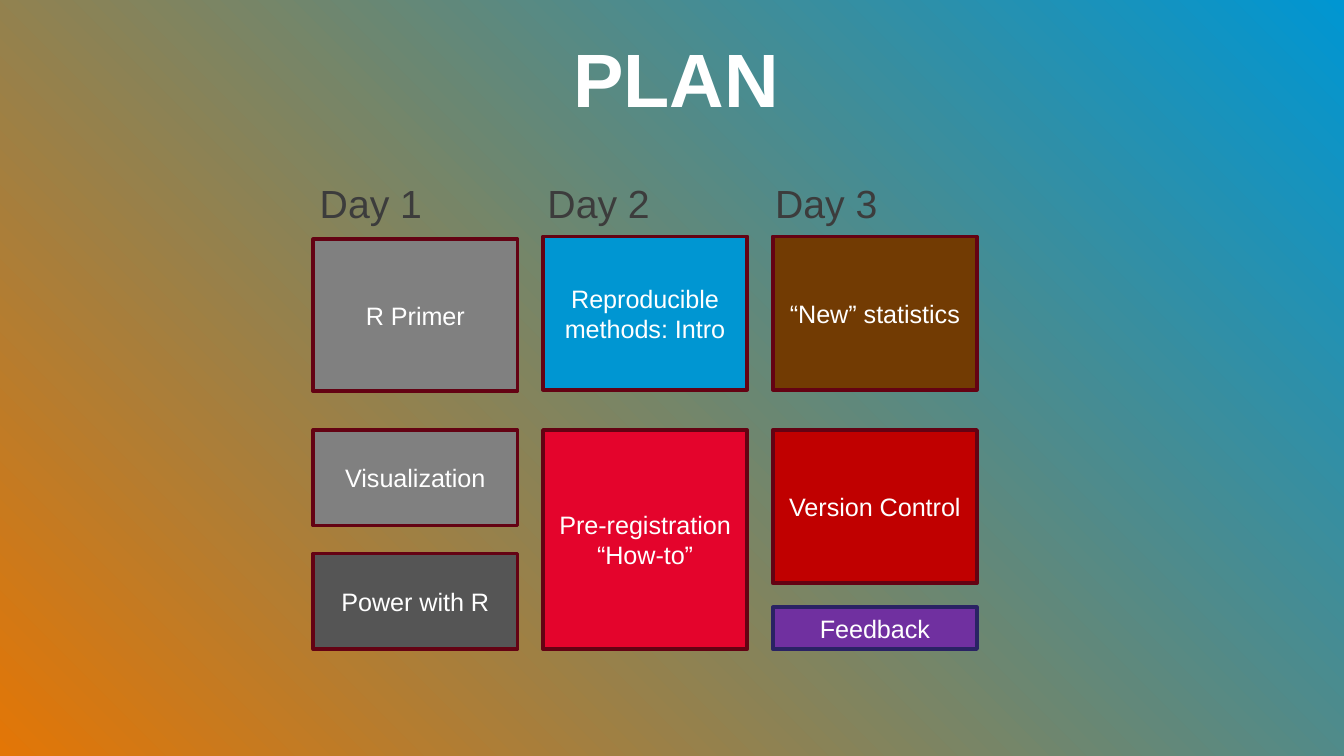
from dataclasses import dataclass

from pptx import Presentation
from pptx.dml.color import RGBColor
from pptx.enum.shapes import MSO_SHAPE as Shape
from pptx.enum.text import MSO_ANCHOR as Anchor, MSO_AUTO_SIZE as AutoSize, PP_ALIGN as Align
from pptx.util import Pt


@dataclass(frozen=True)
class Theme:
    font: str = "Arial"
    title_size: float = 40.5
    day_size: float = 21
    session_size: float = 13.5
    light: str = "FFFFFF"
    dark: str = "3C3C3C"
    border: str = "640213"
    feedback_border: str = "2A2264"
    gray: str = "808080"
    charcoal: str = "555555"
    blue: str = "0096D2"
    orange: str = "E37606"
    red: str = "E4042C"
    crimson: str = "C00000"
    brown: str = "723B03"
    purple: str = "7030A0"


THEME = Theme()

# Columns, in points
COL_LEFT, COL_PITCH, COL_WIDTH = 167.8, 123.1, 109.4
DAY_LEFT, DAY_PITCH = 164.2, 122


@dataclass(frozen=True)
class Session:
    text: str
    day: int
    top: float
    height: float
    fill: str
    border: str = THEME.border
    inset: float = 7.2


SESSIONS = [
    Session("R Primer", 1, 128.2, 81.4, THEME.gray),
    Session("Visualization", 1, 230.4, 51.1, THEME.gray),
    Session("Power with R", 1, 296.6, 51.1, THEME.charcoal),
    Session("Reproducible methods: Intro", 2, 126.7, 82.1, THEME.blue, inset=5),
    Session("Pre-registration\n“How-to”", 2, 230.4, 117.4, THEME.red),
    Session("“New” statistics", 3, 126.7, 82.1, THEME.brown),
    Session("Version Control", 3, 230.4, 82.1, THEME.crimson),
    Session("Feedback", 3, 325.4, 22.3, THEME.purple, THEME.feedback_border),
]


def rgb(color: str) -> RGBColor:
    return RGBColor.from_string(color)


def write(tf, text: str, size: float, color: str, align=Align.CENTER, bold=False, **frame) -> None:
    """Fill a text frame, one paragraph per line; frame holds text frame attributes."""
    for name, value in frame.items():
        setattr(tf, name, value)
    tf.text = text
    font_format = {"name": THEME.font, "size": Pt(size), "bold": bold}
    for p in tf.paragraphs:
        p.alignment = align
        for r in p.runs:
            for name, value in font_format.items():
                setattr(r.font, name, value)
            r.font.color.rgb = rgb(color)


def paint_background(s) -> None:
    fill = s.background.fill
    fill.gradient()
    fill.gradient_angle = 45
    for stop, color in zip(fill.gradient_stops, (THEME.orange, THEME.blue)):
        stop.color.rgb = rgb(color)


def add_title(s, text: str) -> None:
    box = s.shapes.add_textbox(Pt(52.6), Pt(9.4), Pt(619.2), Pt(78.5))
    write(box.text_frame, text, THEME.title_size, THEME.light, bold=True,
          word_wrap=True, margin_top=Pt(7.5))


def add_day(s, day: int) -> None:
    box = s.shapes.add_textbox(Pt(DAY_LEFT + (day - 1) * DAY_PITCH), Pt(90), Pt(69.8), Pt(32.4))
    write(box.text_frame, f"Day {day}", THEME.day_size, THEME.dark, Align.LEFT,
          word_wrap=False, auto_size=AutoSize.SHAPE_TO_FIT_TEXT,
          margin_top=Pt(6), margin_bottom=Pt(2.3))


def add_session(s, session: Session) -> None:
    left = COL_LEFT + (session.day - 1) * COL_PITCH
    sp = s.shapes.add_shape(Shape.RECTANGLE, Pt(left), Pt(session.top),
                            Pt(COL_WIDTH), Pt(session.height))
    sp.shadow.inherit = False
    sp.fill.solid()
    sp.fill.fore_color.rgb = rgb(session.fill)
    sp.line.color.rgb = rgb(session.border)
    sp.line.width = Pt(2)
    write(sp.text_frame, session.text, THEME.session_size, THEME.light,
          word_wrap=True, vertical_anchor=Anchor.MIDDLE,
          margin_left=Pt(session.inset), margin_right=Pt(session.inset))


def main() -> None:
    prs = Presentation()
    prs.slide_width, prs.slide_height = Pt(720), Pt(405)
    s = prs.slides.add_slide(prs.slide_layouts[6])
    paint_background(s)
    add_title(s, "PLAN")
    for session in SESSIONS:
        add_session(s, session)
    for day in (1, 2, 3):
        add_day(s, day)
    prs.save("out.pptx")


if __name__ == "__main__":
    main()
